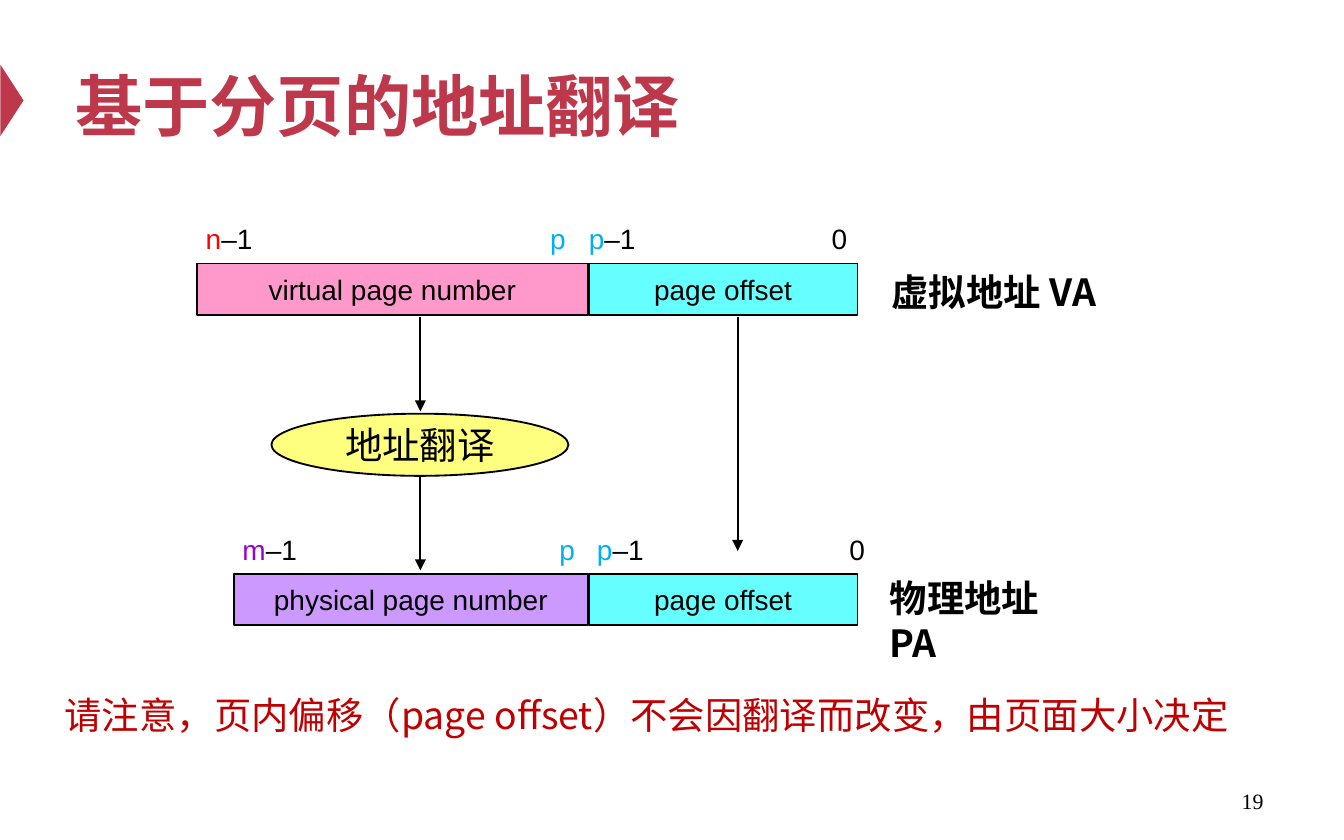
from pptx import Presentation
from pptx.dml.color import RGBColor
from pptx.enum.shapes import MSO_CONNECTOR, MSO_SHAPE
from pptx.enum.text import MSO_ANCHOR, PP_ALIGN
from pptx.oxml.ns import qn
from pptx.util import Pt
from lxml.etree import SubElement


def color(value):
    return RGBColor.from_string(value)


def write(shape, spans, size=15, name="Arial", bold=False, align=PP_ALIGN.LEFT,
          anchor=MSO_ANCHOR.TOP, wrap=False, inset=(5.8, 2.9)):
    frame = shape.text_frame
    frame.word_wrap = wrap
    frame.vertical_anchor = anchor
    frame.margin_left = frame.margin_right = Pt(inset[0])
    frame.margin_top = frame.margin_bottom = Pt(inset[1])
    paragraph = frame.paragraphs[0]
    paragraph.alignment = align
    for text, value in spans:
        span = paragraph.add_run()
        span.text = text
        span.font.size = Pt(size)
        span.font.bold = bold
        span.font.name = name
        span.font.color.rgb = color(value)
        if name.startswith("Noto"):
            SubElement(span.font._element, qn("a:ea"), typeface=name)


BLACK, CYAN, BLUE, CRIMSON = "000000", "66FFFF", "00B0F0", "BE384B"
CHINESE = "Noto Sans CJK SC"

deck = Presentation()
deck.slide_width, deck.slide_height = Pt(720), Pt(450)
page = deck.slides.add_slide(deck.slide_layouts[5])
shapes = page.shapes

title = shapes.title
title.left, title.top, title.width, title.height = Pt(33.1), Pt(25.9), Pt(635.8), Pt(59.8)
write(title, [("基于分页的地址翻译", CRIMSON)], size=36, bold=True,
      anchor=MSO_ANCHOR.MIDDLE, wrap=True, inset=(7.2, 3.6))

marker = shapes.add_shape(MSO_SHAPE.ISOSCELES_TRIANGLE, Pt(-12.7), Pt(47.6), Pt(38.2), Pt(12.4))
marker.rotation = 90
marker.shadow.inherit = False
marker.fill.solid()
marker.fill.fore_color.rgb = color(CRIMSON)
marker.line.fill.background()

blocks = [
    (MSO_SHAPE.RECTANGLE, 105.4, 141.2, 209.6, 27.5, "virtual page number", "FF99CC"),
    (MSO_SHAPE.RECTANGLE, 315.4, 141.2, 144, 27.5, "page offset", CYAN),
    (MSO_SHAPE.RECTANGLE, 125.3, 307.6, 189.7, 27.5, "physical page number", "CC99FF"),
    (MSO_SHAPE.RECTANGLE, 315.4, 307.6, 144, 27.5, "page offset", CYAN),
    (MSO_SHAPE.OVAL, 145.4, 221.6, 159.1, 33.3, "地址翻译", "FFFF00"),
]
for kind, left, top, width, height, text, fill in blocks:
    block = shapes.add_shape(kind, Pt(left), Pt(top), Pt(width), Pt(height))
    block.shadow.inherit = False
    block.fill.solid()
    block.fill.fore_color.rgb = color(fill)
    block.line.color.rgb = color(BLACK)
    block.line.width = Pt(1)
    oval = kind == MSO_SHAPE.OVAL
    write(block, [(text, BLACK)], size=20 if oval else 15, name=CHINESE if oval else "Arial",
          align=PP_ALIGN.CENTER, anchor=MSO_ANCHOR.MIDDLE)
    if oval:
        SubElement(block.fill._xPr.find(qn("a:solidFill"))[0], qn("a:alpha"), val="50000")

bit_labels = [
    (104.4, 115.9, 37.4, [("n", "FF0000"), ("–1", BLACK)]),
    (288.9, 115.9, 20, [("p", BLUE)]),
    (309.6, 115.9, 37.4, [("p", BLUE), ("–1", BLACK)]),
    (439.7, 115.9, 20, [("0", BLACK)]),
    (124.1, 282.3, 41.6, [("m", "9900CC"), ("–1", BLACK)]),
    (293.9, 282.3, 20, [("p", BLUE)]),
    (314, 282.3, 37.4, [("p", BLUE), ("–1", BLACK)]),
    (449.2, 282.3, 20, [("0", BLACK)]),
]
for left, top, width, spans in bit_labels:
    write(shapes.add_textbox(Pt(left), Pt(top), Pt(width), Pt(23.8)), spans)

for left, top, width, text, wrap in [
    (471.8, 141.2, 127.4, "虚拟地址 VA", False),
    (470.9, 305.3, 108, "物理地址 PA", True),
]:
    box = shapes.add_textbox(Pt(left), Pt(top), Pt(width), Pt(30.2))
    write(box, [(text, BLACK)], size=20, name=CHINESE, bold=True, wrap=wrap)

for x, start, end in [(225.2, 170, 220.4), (225.2, 254.9, 305.6), (395.2, 170, 295.2)]:
    arrow = shapes.add_connector(MSO_CONNECTOR.STRAIGHT, Pt(x), Pt(start), Pt(x), Pt(end))
    arrow.line.color.rgb = color(BLACK)
    arrow.line.width = Pt(1)
    SubElement(arrow.line._get_or_add_ln(), qn("a:tailEnd"), type="triangle")
    SubElement(arrow._element.spPr, qn("a:effectLst"))

note = shapes.add_textbox(Pt(28.8), Pt(367.9), Pt(645.1), Pt(30.2))
write(note, [("请注意，页内偏移（page offset）不会因翻译而改变，由页面大小决定", "C00000")],
      size=20, name=CHINESE, wrap=True)

number = shapes.add_textbox(Pt(516.2), Pt(416.9), Pt(167.8), Pt(23.8))
write(number, [("19", BLACK)], size=11.7, name="Times New Roman", align=PP_ALIGN.RIGHT,
      anchor=MSO_ANCHOR.MIDDLE, wrap=True, inset=(7.2, 3.6))

deck.save("out.pptx")
